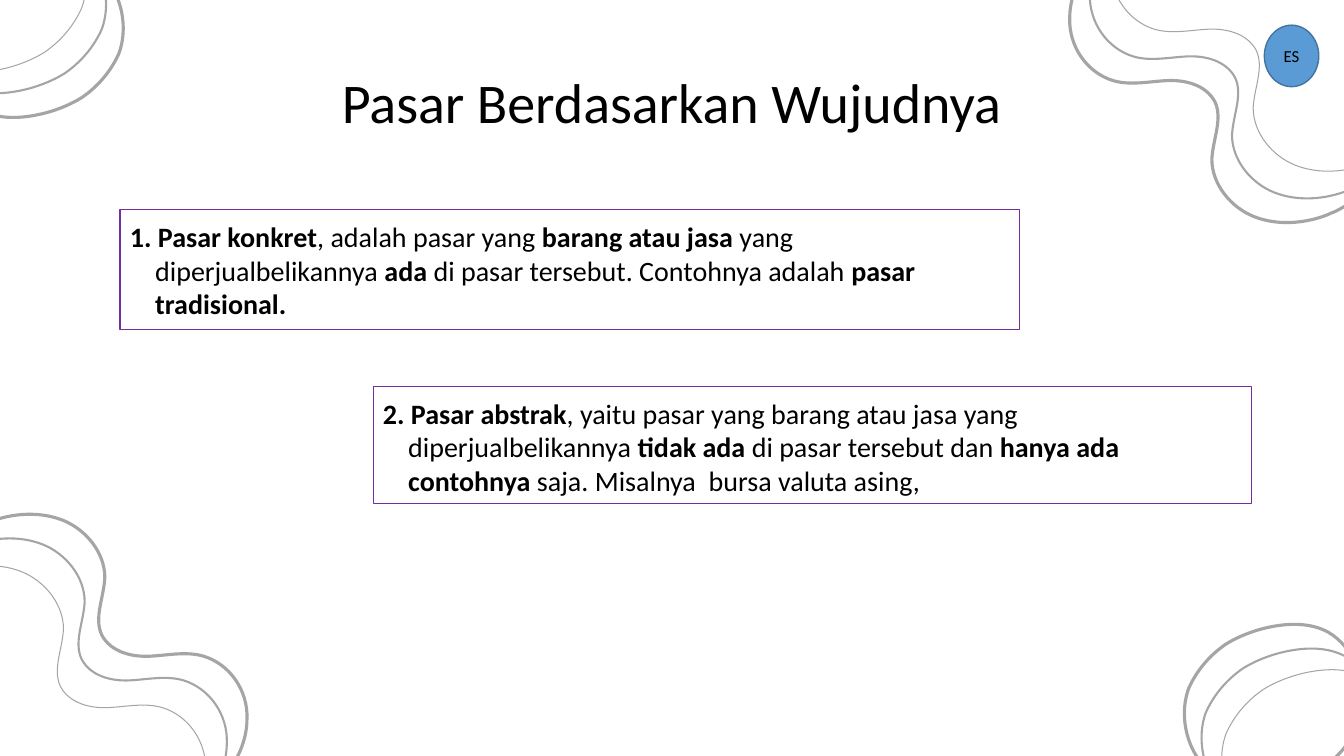
from lxml import etree
from pptx import Presentation
from pptx.dml.color import RGBColor
from pptx.enum.shapes import MSO_SHAPE
from pptx.enum.text import MSO_ANCHOR, PP_ALIGN
from pptx.oxml.ns import qn
from pptx.util import Inches, Pt

RECT, OVAL = MSO_SHAPE.RECTANGLE, MSO_SHAPE.OVAL
TOP, MIDDLE = MSO_ANCHOR.TOP, MSO_ANCHOR.MIDDLE
LEFT, CENTER = PP_ALIGN.LEFT, PP_ALIGN.CENTER

FONT = "Calibri"
COLORS = {"ink": "000000", "curve": "A5A5A5", "frame": "7030A0",
          "badge": "5B9BD5", "edge": "43739E"}

TITLE = [("Pasar Berdasarkan Wujudnya", False)]
BADGE = [("ES", False)]
MARKETS = [
    ((1.19, 2.08, 8.92, 1.19), [
        ("1. Pasar konkret", True),
        (", adalah pasar yang ", False),
        ("barang atau jasa ", True),
        ("yang diperjualbelikannya ", False),
        ("ada", True),
        (" di pasar tersebut. Contohnya adalah ", False),
        ("pasar tradisional.", True)]),
    ((3.7, 3.83, 8.71, 1.17), [
        ("2. Pasar abstrak", True),
        (", yaitu pasar yang barang atau jasa yang diperjualbelikannya ", False),
        ("tidak ada", True),
        (" di pasar tersebut dan ", False),
        ("hanya ada contohnya ", True),
        ("saja. Misalnya  bursa valuta asing,", False)]),
]

WAVE = [
    (-0.18, 5.21),
    (-0.38, 5.31), (-0.56, 5.46), (-0.72, 5.62),
    (-0.78, 5.67), (-0.84, 5.73), (-0.92, 5.77),
    (-0.94, 5.78), (-0.97, 5.79), (-1, 5.8),
    (-1.06, 5.82), (-1.12, 5.81), (-1.17, 5.82),
    (-1.2, 5.82), (-1.22, 5.83), (-1.24, 5.84),
    (-1.35, 5.9), (-1.42, 6.02), (-1.44, 6.16),
    (-1.48, 6.43), (-1.32, 6.71), (-1.07, 6.81),
    (-0.82, 7), (-0.69, 7.31), (-0.54, 7.59),
    (-0.4, 7.89), (-0.22, 8.2), (0.06, 8.35),
    (0.26, 8.47), (0.5, 8.48), (0.73, 8.45),
    (0.97, 8.42), (1.18, 8.33), (1.39, 8.24),
    (1.48, 8.21), (1.56, 8.17), (1.64, 8.13),
    (1.81, 8.05), (1.96, 7.96), (2.1, 7.83),
    (2.3, 7.66), (2.45, 7.4), (2.45, 7.13),
    (2.46, 6.85), (2.28, 6.59), (2.02, 6.51),
    (1.85, 6.46), (1.67, 6.5), (1.49, 6.51),
    (1.31, 6.52), (1.1, 6.47), (1.01, 6.3),
    (0.93, 6.13), (1.03, 5.93), (1.04, 5.73),
    (1.04, 5.48), (0.85, 5.25), (0.62, 5.16),
    (0.39, 5.07), (0.12, 5.09), (-0.11, 5.18),
    (-0.13, 5.19), (-0.15, 5.2), (-0.18, 5.21),
]
BLOB = [
    (-0.14, -0.26),
    (-0.34, -0.13), (-0.48, 0.06), (-0.53, 0.29),
    (-0.6, 0.59), (-0.46, 0.94), (-0.2, 1.09),
    (-0.03, 1.18), (0.17, 1.18), (0.37, 1.14),
    (0.52, 1.11), (0.68, 1.05), (0.81, 0.97),
    (0.97, 0.86), (1.1, 0.71), (1.18, 0.53),
    (1.3, 0.2), (1.16, -0.23), (0.84, -0.38),
    (0.84, -0.38), (1, -0.34), (1, -0.34),
    (0.71, -0.45), (0.37, -0.48), (0.09, -0.37),
    (0.01, -0.34), (-0.07, -0.3), (-0.14, -0.26),
]
WEIGHTS = [2.25, 1.5, 0.75]
CORNERS = [
    (WAVE, [(0, 0), (-0.2, 0.24), (-0.41, 0.51)], (13.06, 7.31)),
    (BLOB, [(0, 0), (-0.17, -0.24), (-0.37, -0.45)], (12.97, 7.36)),
]

deck = Presentation()
deck.slide_width, deck.slide_height = Inches(13.33), Inches(7.5)
slide = deck.slides.add_slide(deck.slide_layouts[6])
shapes = slide.shapes


def color(name):
    return RGBColor.from_string(COLORS[name])


def outline(shape, name, weight):
    shape.shadow.inherit = False
    shape.line.color.rgb = color(name)
    shape.line.width = Pt(weight)


def draw_curve(points, weight):
    spots = [(Inches(x), Inches(y)) for x, y in points]
    pen = shapes.build_freeform(*spots[0])
    pen.add_line_segments(spots[1:], close=True)
    curve = pen.convert_to_shape()
    curve.fill.background()
    outline(curve, "curve", weight)
    steps = list(curve._element.iter(qn("a:lnTo")))
    for i in range(0, len(steps), 3):
        bend = etree.Element(qn("a:cubicBezTo"))
        steps[i].addprevious(bend)
        for step in steps[i:i + 3]:
            bend.append(step[0])
            step.getparent().remove(step)


def write(shape, runs, size, align, anchor):
    frame = shape.text_frame
    frame.word_wrap = True
    frame.vertical_anchor = anchor
    frame.margin_left = frame.margin_right = Inches(0.1)
    frame.margin_top = frame.margin_bottom = Inches(0.1)
    para = frame.paragraphs[0]
    para.alignment = align
    for text, bold in runs:
        run = para.add_run()
        run.text = text
        run.font.name = FONT
        run.font.size = Pt(size)
        run.font.bold = bold
        run.font.color.rgb = color("ink")
    return para


for base, shifts, (far_x, far_y) in CORNERS:
    for (dx, dy), weight in zip(shifts, WEIGHTS):
        near = [(x + dx, y + dy) for x, y in base]
        draw_curve(near, weight)
        draw_curve([(far_x - x, far_y - y) for x, y in near], weight)

title = shapes.add_textbox(Inches(1.05), Inches(0.65), Inches(11.22), Inches(0.84))
write(title, TITLE, 40, CENTER, TOP).line_spacing = 0.9

for place, runs in MARKETS:
    box = shapes.add_shape(RECT, *map(Inches, place))
    box.fill.background()
    outline(box, "frame", 0.75)
    props = write(box, runs, 20, LEFT, TOP)._p.get_or_add_pPr()
    props.set("marL", str(Inches(0.25)))
    props.set("indent", str(-Inches(0.25)))

badge = shapes.add_shape(OVAL, Inches(12.54), Inches(0.25), Inches(0.54), Inches(0.61))
badge.fill.solid()
badge.fill.fore_color.rgb = color("badge")
outline(badge, "edge", 1)
write(badge, BADGE, 12, CENTER, MIDDLE)

deck.save("out.pptx")
